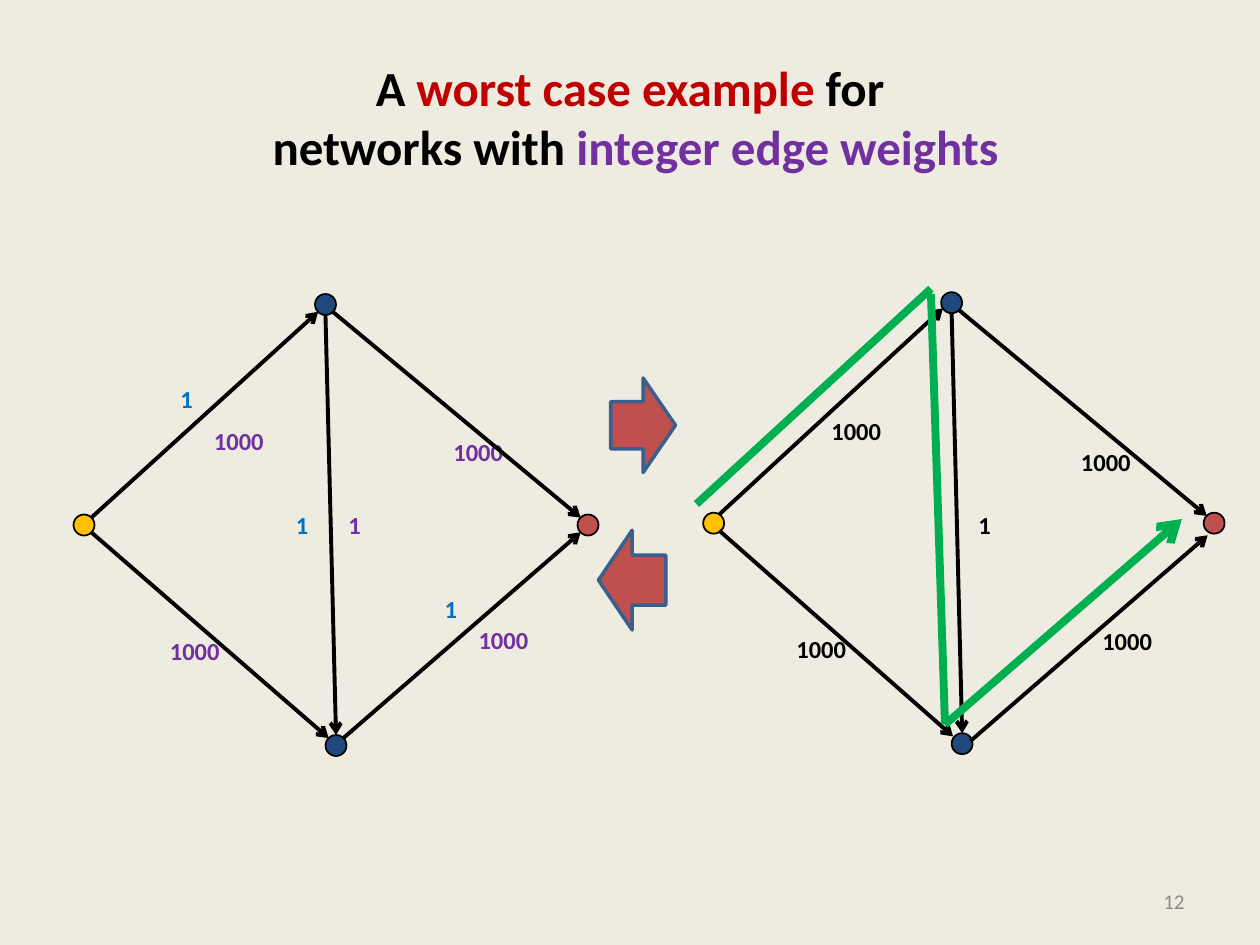
"""Build a slide on the worst case of augmenting paths in an integer network."""
import pptx
import pptx.dml.color
import pptx.enum.dml
import pptx.enum.shapes
import pptx.enum.text
import pptx.oxml
import pptx.oxml.ns
import pptx.util
from dataclasses import dataclass

Pt = pptx.util.Pt
SHAPE = pptx.enum.shapes.MSO_SHAPE
ALIGN = pptx.enum.text.PP_ALIGN
ANCHOR = pptx.enum.text.MSO_ANCHOR
FIT = pptx.enum.text.MSO_AUTO_SIZE


@dataclass(frozen=True)
class Theme:
    """Colours, type sizes and line widths."""
    font: str = "Calibri"
    background: str = "EEECE1"
    ink: str = "000000"
    red: str = "C00000"
    capacity: str = "7030A0"
    flow: str = "0070C0"
    muted: str = "8C8C8C"
    source: str = "FFC000"
    inner: str = "1F497D"
    sink: str = "C0504D"
    outline: str = "3A5F8C"
    route: str = "00B050"
    title_size: float = 28
    label_size: float = 14
    number_size: float = 12
    node_line: float = 1
    block_line: float = 2
    edge_line: float = 2.25
    route_line: float = 4.5


T = Theme()
NODE = 12
LABEL_HEIGHT = 24.5
LABEL_WIDTHS = {"1": 21.6, "1000": 43.2}

TITLE = [("A ", T.ink), ("worst case example", T.red), (" for", T.ink), ("\n", T.ink),
         (" networks with ", T.ink), ("integer edge weights", T.capacity)]
NODE_FILLS = {"s": T.source, "a": T.inner, "b": T.inner, "t": T.sink}
# end
EDGES = [("s", "a"), ("s", "b"), ("a", "t"), ("b", "t"), ("a", "b")]
NETWORKS = [
    {"nodes": {"s": (48, 300), "a": (186, 174), "b": (192, 426), "t": (336, 300)},
     "nudges": {}},
    {"nodes": {"s": (407.8, 299), "a": (543.8, 173), "b": (549.8, 425), "t": (693.8, 299)},
     "nudges": {("s", "a"): (-0.8, -1), ("s", "b"): (-1, 0), ("b", "t"): (0.5, 2.7)}},
]
LABELS = [
    (T.capacity, [("1", 192, 288), ("1000", 252, 246), ("1000", 266.4, 353.5),
                  ("1000", 90, 360), ("1000", 115.2, 240)]),
    (T.flow, [("1", 96, 216), ("1", 162, 288), ("1", 247, 336)]),
    (T.ink, [("1000", 610.6, 252), ("1000", 448, 358.6), ("1", 552, 288),
             ("1000", 468, 234), ("1000", 622.8, 354)]),
]
BLOCK_ARROWS = [(SHAPE.RIGHT_ARROW, 349, 216, 37, 54), (SHAPE.LEFT_ARROW, 342, 303, 38.5, 57)]
ROUTE = [((540, 414), (675.4, 296.6), True),
         ((398, 288), (532, 165), False),
         ((540, 414), (532, 168), False)]


def rgb(value):
    """Turn a hex string into a colour."""
    return pptx.dml.color.RGBColor.from_string(value)


def assign(target, **values):
    """Set each given attribute on the target."""
    for name, value in values.items():
        setattr(target, name, value)


def add_text(slide, box, runs, size, bold=True, align=ALIGN.LEFT, **frame):
    """Add a text box of coloured runs, with line breaks at newlines."""
    tf = slide.shapes.add_textbox(*map(Pt, box)).text_frame
    assign(tf, **frame)
    p = tf.paragraphs[0]
    p.alignment = align
    for text, color in runs:
        if text == "\n":
            p.add_line_break()
            continue
        r = p.add_run()
        r.text = text
        assign(r.font, name=T.font, size=Pt(size), bold=bold)
        r.font.color.rgb = rgb(color)


def add_shape(slide, kind, box, fill, line, width):
    """Add a filled and outlined preset shape."""
    s = slide.shapes.add_shape(kind, *map(Pt, box))
    s.shadow.inherit = False
    s.fill.solid()
    s.fill.fore_color.rgb = rgb(fill)
    s.line.color.rgb = rgb(line)
    s.line.width = Pt(width)


def add_line(slide, start, end, color, width, arrow=True):
    """Add a straight line, with an open arrowhead if wanted."""
    s = slide.shapes.add_connector(pptx.enum.shapes.MSO_CONNECTOR.STRAIGHT,
                                   *map(Pt, (*start, *end)))
    s.line.color.rgb = rgb(color)
    s.line.width = Pt(width)
    if arrow:
        tail = pptx.oxml.parse_xml(f'<a:tailEnd {pptx.oxml.ns.nsdecls("a")} type="arrow"/>')
        s.line._get_or_add_ln().append(tail)
    s._element.spPr.append(pptx.oxml.parse_xml(f'<a:effectLst {pptx.oxml.ns.nsdecls("a")}/>'))


def edge_ends(start, end, upright):
    """Return where an edge meets the rims of its two nodes."""
    reach = NODE / 2 if upright else NODE * 0.35
    dx = 0 if upright else reach
    dy = reach if end[1] > start[1] else -reach
    return (start[0] + dx, start[1] + dy), (end[0] - dx, end[1] - dy)


def add_network(slide, nodes, nudges):
    """Draw the nodes and directed edges of one network."""
    for name, (x, y) in nodes.items():
        add_shape(slide, SHAPE.OVAL, (x - NODE / 2, y - NODE / 2, NODE, NODE),
                  NODE_FILLS[name], T.ink, T.node_line)
    for edge in EDGES:
        dx, dy = nudges.get(edge, (0, 0))
        ends = edge_ends(nodes[edge[0]], nodes[edge[1]], edge == ("a", "b"))
        add_line(slide, *[(x + dx, y + dy) for x, y in ends], T.ink, T.edge_line)


def main():
    """Compose and save the slide."""
    prs = pptx.Presentation()
    assign(prs, slide_width=Pt(720), slide_height=Pt(540))
    slide = prs.slides.add_slide(prs.slide_layouts[6])
    slide.background.fill.solid()
    slide.background.fill.fore_color.rgb = rgb(T.background)

    add_text(slide, (36, 21.6, 648, 90), TITLE, T.title_size, align=ALIGN.CENTER,
             word_wrap=True, vertical_anchor=ANCHOR.MIDDLE)
    add_text(slide, (516, 500.5, 168, 28.75), [("12", T.muted)], T.number_size, bold=False,
             align=ALIGN.RIGHT, word_wrap=True, vertical_anchor=ANCHOR.MIDDLE)
    for color, items in LABELS:
        for text, x, y in items:
            add_text(slide, (x, y, LABEL_WIDTHS[text], LABEL_HEIGHT), [(text, color)],
                     T.label_size, word_wrap=False, auto_size=FIT.SHAPE_TO_FIT_TEXT)
    for network in NETWORKS:
        add_network(slide, **network)
    for kind, *box in BLOCK_ARROWS:
        add_shape(slide, kind, box, T.sink, T.outline, T.block_line)
    for start, end, arrow in ROUTE:
        add_line(slide, start, end, T.route, T.route_line, arrow)
    prs.save("out.pptx")


if __name__ == "__main__":
    main()
